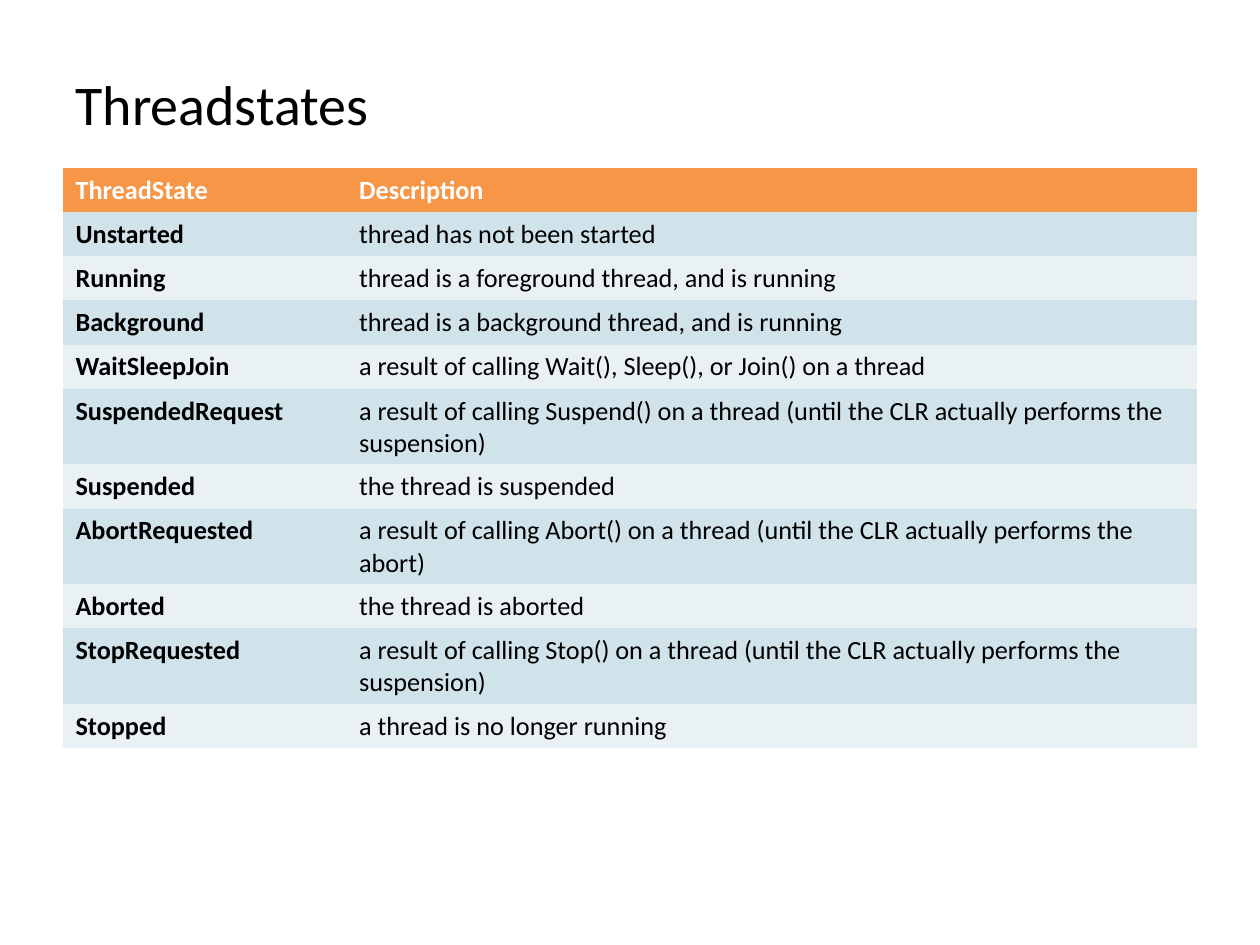
from pptx import Presentation
from pptx.dml.color import RGBColor
from pptx.util import Pt

BLANK_LAYOUT = 6
FONT = "Calibri"
BLACK, WHITE = "000000", "FFFFFF"
HEADER_FILL = "F79646"
BAND_FILLS = ("E9F1F5", "D0E3EA")
COLUMN_WIDTHS = (162, 486)
ROW_HEIGHT = 24.5

THREAD_STATES = (
    ("ThreadState", "Description"),
    ("Unstarted", "thread has not been started"),
    ("Running", "thread is a foreground thread, and is running"),
    ("Background", "thread is a background thread, and is running"),
    ("WaitSleepJoin", "a result of calling Wait(), Sleep(), or Join() on a thread"),
    ("SuspendedRequest", "a result of calling Suspend() on a thread "
                         "(until the CLR actually performs the suspension)"),
    ("Suspended", "the thread is suspended"),
    ("AbortRequested", "a result of calling Abort() on a thread "
                       "(until the CLR actually performs the abort)"),
    ("Aborted", "the thread is aborted"),
    ("StopRequested", "a result of calling Stop() on a thread "
                      "(until the CLR actually performs the suspension)"),
    ("Stopped", "a thread is no longer running"),
)


def color(hex_string):
    return RGBColor.from_string(hex_string)


def write_text(text_frame, text, size, hex_color, bold=False):
    run = text_frame.paragraphs[0].add_run()
    run.text = text
    formats = {"name": FONT, "size": Pt(size), "bold": bold}
    for attribute, value in formats.items():
        setattr(run.font, attribute, value)
    run.font.color.rgb = color(hex_color)


def add_title(slide, text):
    box = slide.shapes.add_textbox(Pt(36), Pt(36), Pt(648), Pt(446.4))
    box.text_frame.word_wrap = True
    write_text(box.text_frame, text, 32, BLACK)


def add_state_table(slide, rows):
    frame = slide.shapes.add_table(
        len(rows), len(COLUMN_WIDTHS), Pt(36), Pt(96),
        Pt(sum(COLUMN_WIDTHS)), Pt(ROW_HEIGHT * len(rows)))
    table = frame.table
    for column, width in zip(table.columns, COLUMN_WIDTHS):
        column.width = Pt(width)
    for row_index, texts in enumerate(rows):
        table.rows[row_index].height = Pt(ROW_HEIGHT)
        is_header = row_index == 0
        fill = HEADER_FILL if is_header else BAND_FILLS[row_index % 2]
        for column_index, text in enumerate(texts):
            cell = table.cell(row_index, column_index)
            cell.fill.solid()
            cell.fill.fore_color.rgb = color(fill)
            write_text(cell.text_frame, text, 15,
                       WHITE if is_header else BLACK,
                       bold=is_header or column_index == 0)
    # The "No Style, No Grid" table style leaves the cells without borders.
    style_id = table._tbl.tblPr.find("{*}tableStyleId")
    style_id.text = "{2D5ABB26-0587-4C30-8999-92F81FD0307C}"


def main():
    presentation = Presentation()
    presentation.slide_width = Pt(720)
    presentation.slide_height = Pt(540)
    slide = presentation.slides.add_slide(presentation.slide_layouts[BLANK_LAYOUT])
    add_title(slide, "Threadstates")
    add_state_table(slide, THREAD_STATES)
    presentation.save("out.pptx")


if __name__ == "__main__":
    main()
